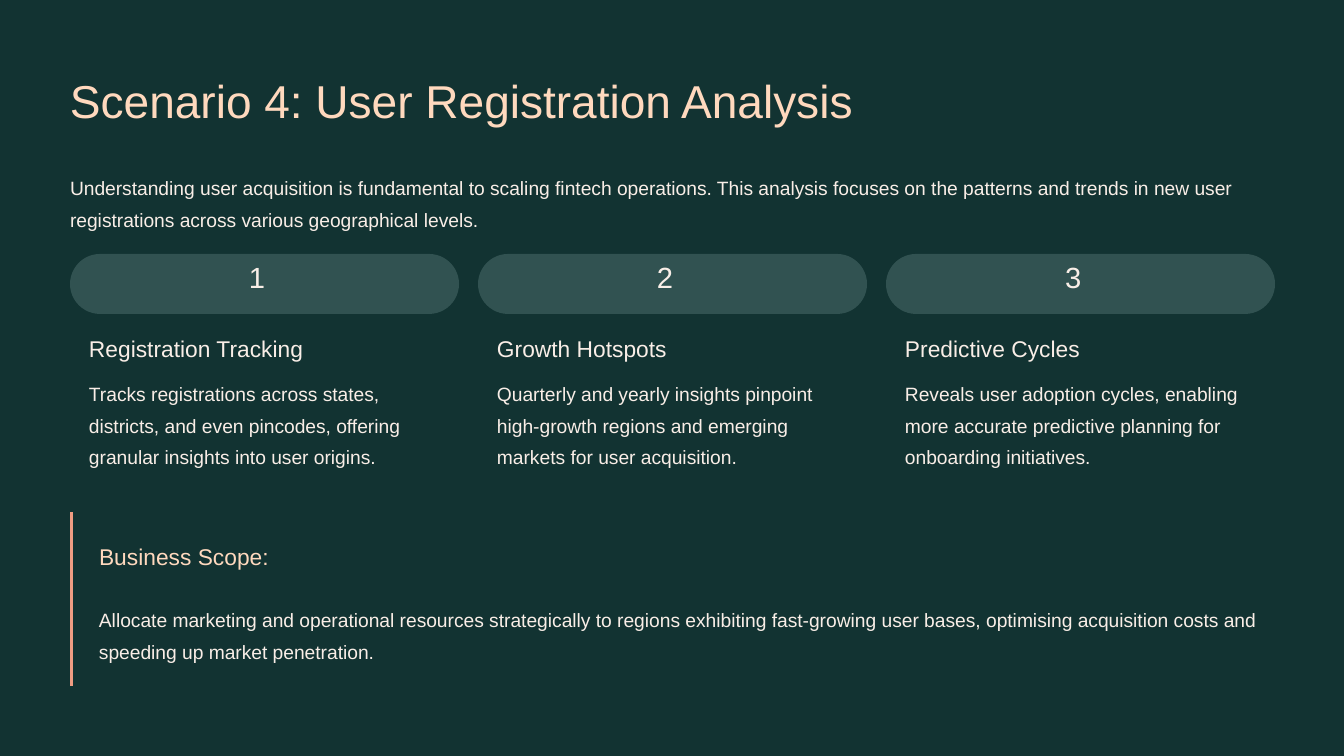
"""Build the user registration analysis slide."""
from dataclasses import dataclass

from pptx import Presentation
from pptx import util as u
from pptx.dml.color import RGBColor
from pptx.enum import shapes
from pptx.slide import Slide


@dataclass(frozen=True)
class TextStyle:
    size: float
    leading: float
    color: str
    wrap: bool = False


@dataclass(frozen=True)
class Theme:
    font: str = "Arial"
    background: str = "123332"
    pill: str = "315251"
    bar: str = "EF9C82"
    title: TextStyle = TextStyle(39.5, 49.5, "FFD9BE")
    number: TextStyle = TextStyle(25, 25, "F9EEE7")
    heading: TextStyle = TextStyle(19.5, 24.5, "F9EEE7")
    scope_heading: TextStyle = TextStyle(19.5, 24.5, "FFD9BE")
    body: TextStyle = TextStyle(16.5, 27, "F9EEE7", True)


@dataclass(frozen=True)
class Box:
    left: int
    top: int
    width: int
    height: int

    def emu(self) -> tuple[int, ...]:
        return tuple(px(n) for n in (self.left, self.top, self.width, self.height))


@dataclass(frozen=True)
class Insight:
    heading: str
    body: str


THEME = Theme()
LEFT = 70
COLUMN_PITCH = 408
INSIGHTS = (
    Insight("Registration Tracking",
            "Tracks registrations across states, districts, and even pincodes, "
            "offering granular insights into user origins."),
    Insight("Growth Hotspots",
            "Quarterly and yearly insights pinpoint high-growth regions and "
            "emerging markets for user acquisition."),
    Insight("Predictive Cycles",
            "Reveals user adoption cycles, enabling more accurate predictive "
            "planning for onboarding initiatives."),
)


def px(length: int) -> int:
    return round(length * u.Inches(1) / 84)


def add_text(slide: Slide, box: Box, words: str, style: TextStyle) -> None:
    frame = slide.shapes.add_textbox(*box.emu()).text_frame
    frame.margin_left = frame.margin_top = frame.margin_right = frame.margin_bottom = 0
    frame.word_wrap = style.wrap
    frame.text = words
    paragraph = frame.paragraphs[0]
    paragraph.line_spacing = u.Pt(style.leading)
    font = paragraph.runs[0].font
    font.name = THEME.font
    font.size = u.Pt(style.size)
    font.color.rgb = RGBColor.from_string(style.color)


def add_panel(slide: Slide, box: Box, color: str, rounded: bool = False) -> None:
    kind = shapes.MSO_SHAPE.ROUNDED_RECTANGLE if rounded else shapes.MSO_SHAPE.RECTANGLE
    panel = slide.shapes.add_shape(kind, *box.emu())
    if rounded:
        panel.adjustments[0] = 0.5
    panel.shadow.inherit = False
    panel.fill.solid()
    panel.fill.fore_color.rgb = RGBColor.from_string(color)
    panel.line.fill.background()


def add_insight(slide: Slide, index: int, insight: Insight) -> None:
    left = LEFT + index * COLUMN_PITCH
    add_panel(slide, Box(left, 254, 389, 60), THEME.pill, rounded=True)
    add_text(slide, Box(left + 179, 265, 29, 37), str(index + 1), THEME.number)
    add_text(slide, Box(left + 19, 333, 233, 29), insight.heading, THEME.heading)
    add_text(slide, Box(left + 19, 374, 349, 95), insight.body, THEME.body)


def add_scope(slide: Slide) -> None:
    add_text(slide, Box(99, 541, 233, 29), "Business Scope:", THEME.scope_heading)
    add_text(slide, Box(99, 600, 1176, 63),
             "Allocate marketing and operational resources strategically to regions "
             "exhibiting fast-growing user bases, optimising acquisition costs and "
             "speeding up market penetration.", THEME.body)
    add_panel(slide, Box(LEFT, 512, 3, 174), THEME.bar)


def main() -> None:
    deck = Presentation()
    deck.slide_width, deck.slide_height = px(1344), px(756)
    slide = deck.slides.add_slide(deck.slide_layouts[6])
    slide.background.fill.solid()
    slide.background.fill.fore_color.rgb = RGBColor.from_string(THEME.background)
    add_text(slide, Box(LEFT, 70, 800, 58), "Scenario 4: User Registration Analysis",
             THEME.title)
    add_text(slide, Box(LEFT, 168, 1205, 63),
             "Understanding user acquisition is fundamental to scaling fintech operations. "
             "This analysis focuses on the patterns and trends in new user registrations "
             "across various geographical levels.", THEME.body)
    for index, insight in enumerate(INSIGHTS):
        add_insight(slide, index, insight)
    add_scope(slide)
    deck.save("out.pptx")


if __name__ == "__main__":
    main()
